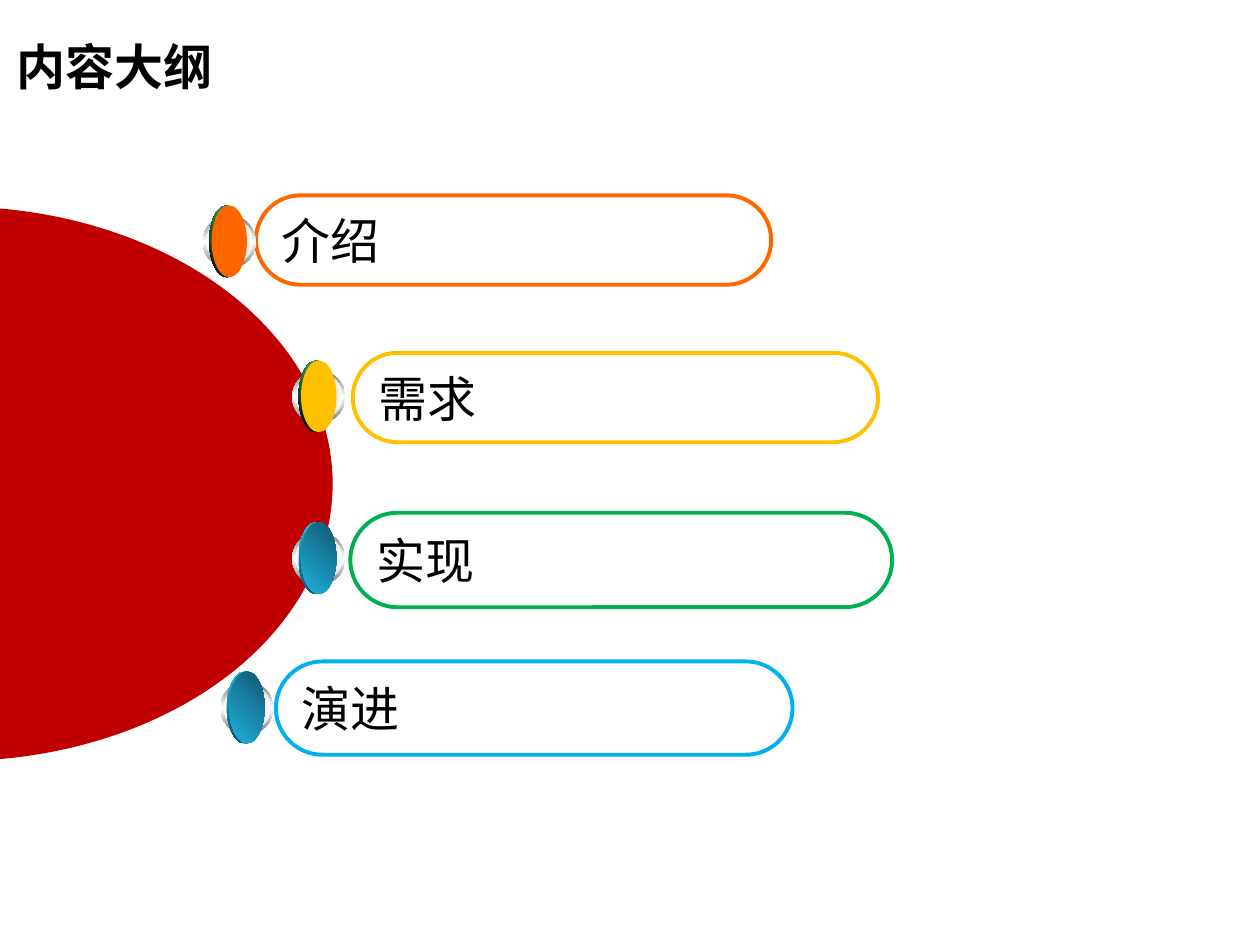
from math import cos, pi, sin

from pptx import Presentation
from pptx.dml.color import RGBColor
from pptx.enum.shapes import MSO_SHAPE
from pptx.enum.text import MSO_ANCHOR, PP_ALIGN
from pptx.oxml import parse_xml
from pptx.oxml.ns import nsdecls, qn
from pptx.util import Pt

FONT = "Noto Sans CJK SC"
COLORS = {
    "text": "000000", "dome": "C00000",
    "orange": "FF6600", "yellow": "FFC000", "green": "00B050", "blue": "00B0F0",
    "grey": "767676", "silver": "A2A2A2", "white": "FFFFFF", "teal": "009999",
    "navy": "00008A", "black": "000000", "mint": "48BE67",
    "sky": "21B3E1", "deep": "0F5368", "slate": "10576D",
}
RINGS = [
    ((0, 0, 30.2, 30.2), ("grey", "white", "grey"), 90),
    ((2, 1.6, 26.6, 26.6), ("white", "silver", "white"), 0),
]
BACK = (3.6, -5.7, 20.2, 41)
FRONT = (5, -5.7, 20.2, 41)
GLOW = (BACK, ("teal", "white", "teal"), 315)
DARK_RIM = (BACK, ("black", "mint"), 315)
BLUE_LENS = [
    GLOW,
    (BACK, ("sky", "deep"), 90),
    (FRONT, ("teal", "navy", "teal"), 45),
    (FRONT, ("sky", "slate"), 315),
]
ITEMS = [
    ("介绍", "orange", (146.2, 111.6, 294.5, 51.1), (115.9, 123.1),
     [GLOW, DARK_RIM, (FRONT, ("orange",), 0)]),
    ("需求", "yellow", (201.6, 201.6, 300.2, 51.1), (167, 211.7),
     [GLOW, DARK_RIM, (FRONT, ("yellow",), 0)]),
    ("演进", "blue", (157.7, 378, 295.2, 53.3), (126, 389.5), BLUE_LENS),
    ("实现", "green", (200.2, 293, 309.6, 54), (167, 304.1), BLUE_LENS),
]


def rgb(name):
    """Return the palette colour of that name."""
    return RGBColor.from_string(COLORS[name])


def set_text(s, text, bold, anchor):
    """Write one left-aligned line of text in a shape."""
    tf = s.text_frame
    tf.text = text
    tf.vertical_anchor = anchor
    p = tf.paragraphs[0]
    p.alignment = PP_ALIGN.LEFT
    font = p.runs[0].font
    font.size, font.bold, font.name = Pt(28), bold, FONT
    font.color.rgb = rgb("text")
    rPr = p.runs[0]._r.get_or_add_rPr()
    rPr.append(parse_xml(f'<a:ea {nsdecls("a")} typeface="{FONT}"/>'))


def set_gradient(s, names, angle):
    """Fill a shape with evenly spaced colours along a clockwise angle."""
    step = 100000 // (len(names) - 1)
    stops = "".join(
        f'<a:gs pos="{i * step}"><a:srgbClr val="{COLORS[name]}"/></a:gs>'
        for i, name in enumerate(names))
    s.fill.background()
    spPr = s._element.spPr
    spPr.replace(spPr.find(qn("a:noFill")), parse_xml(
        f'<a:gradFill {nsdecls("a")} rotWithShape="1"><a:gsLst>{stops}</a:gsLst>'
        f'<a:lin ang="{angle * 60000}" scaled="0"/></a:gradFill>'))


def add_title(slide, box):
    """Place the slide title in its placeholder."""
    s = slide.shapes.title
    s.left, s.top, s.width, s.height = map(Pt, box)
    set_text(s, "内容大纲", True, MSO_ANCHOR.TOP)


def add_dome(slide, box):
    """Draw a half ellipse that bulges to the right of the box."""
    left, top, width, height = box
    radius, steps = height / 2, 120
    angles = [pi * i / steps - pi / 2 for i in range(steps + 1)]
    points = [(Pt(left + width * cos(a)), Pt(top + radius + radius * sin(a)))
              for a in angles]
    builder = slide.shapes.build_freeform(*points[0])
    builder.add_line_segments(points[1:], close=True)
    s = builder.convert_to_shape()
    s.shadow.inherit = False
    s.fill.solid()
    s.fill.fore_color.rgb = rgb("dome")
    s.line.fill.background()


def add_pill(slide, box, text, color):
    """Draw an outlined pill with its label."""
    s = slide.shapes.add_shape(MSO_SHAPE.ROUNDED_RECTANGLE, *map(Pt, box))
    s.adjustments[0] = 0.5
    s.shadow.inherit = False
    s.fill.background()
    s.line.color.rgb = rgb(color)
    s.line.width = Pt(2.25)
    s.text_frame.word_wrap = False
    set_text(s, text, False, MSO_ANCHOR.MIDDLE)


def add_button(slide, origin, lens):
    """Stack the ring and lens ellipses of a button in one group."""
    group = slide.shapes.add_group_shape()
    x, y = origin
    for (dx, dy, width, height), names, angle in RINGS + lens:
        s = group.shapes.add_shape(
            MSO_SHAPE.OVAL, Pt(x + dx), Pt(y + dy), Pt(width), Pt(height))
        s.shadow.inherit = False
        s.line.fill.background()
        if len(names) == 1:
            s.fill.solid()
            s.fill.fore_color.rgb = rgb(names[0])
        else:
            set_gradient(s, names, angle)


def main():
    """Build the outline slide and save it."""
    prs = Presentation()
    prs.slide_width, prs.slide_height = Pt(720), Pt(540)
    slide = prs.slides.add_slide(prs.slide_layouts[5])
    add_title(slide, (2.2, 17.3, 360, 41))
    add_dome(slide, (-25.2, 118.1, 215.3, 316.8))
    for text, color, pill, origin, lens in ITEMS:
        add_pill(slide, pill, text, color)
        add_button(slide, origin, lens)
    prs.save("out.pptx")


if __name__ == "__main__":
    main()
